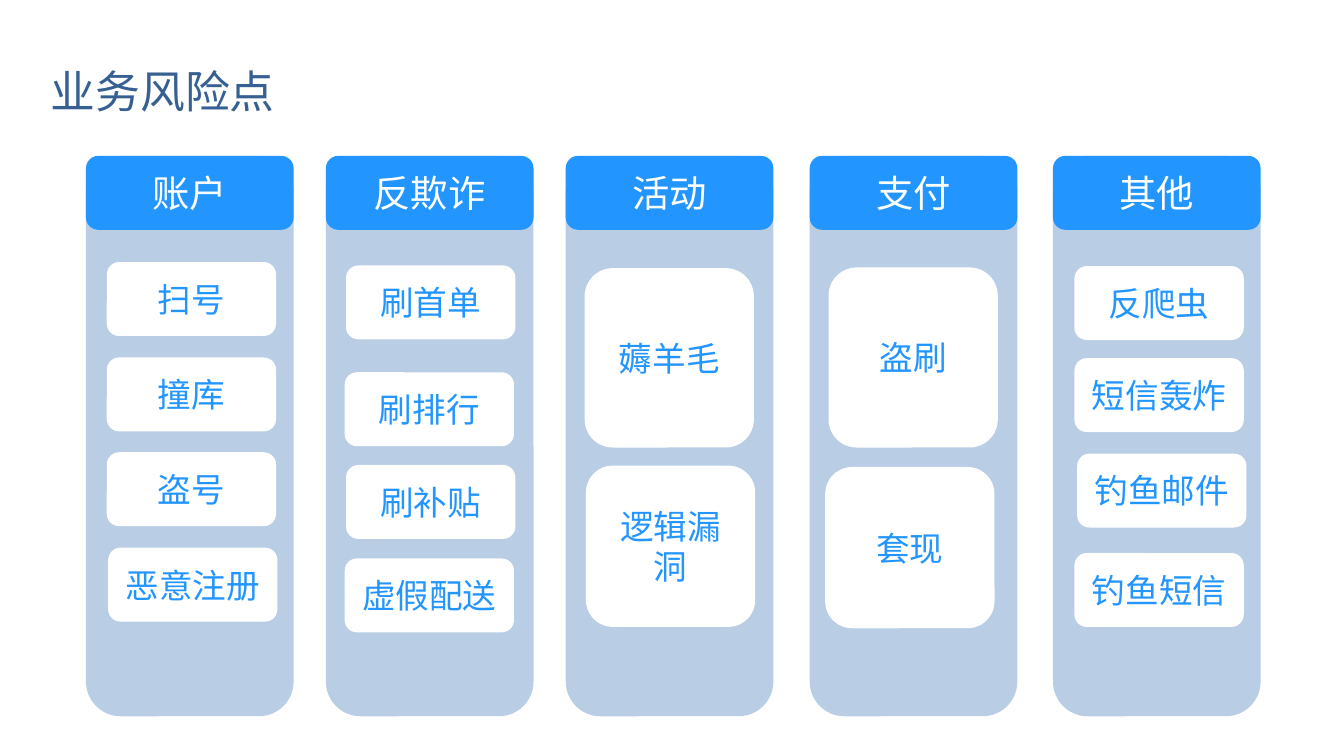
from typing import NamedTuple

from lxml.etree import SubElement
from pptx import Presentation
from pptx.dml.color import RGBColor
from pptx.enum.shapes import MSO_SHAPE
from pptx.enum.text import MSO_ANCHOR, PP_ALIGN
from pptx.oxml.ns import qn
from pptx.util import Pt

SCALE = 4572
WHITE = RGBColor(0xFF, 0xFF, 0xFF)
BLUE = RGBColor(0x22, 0x95, 0xFF)
PALE = RGBColor(0xB9, 0xCD, 0xE5)
NAVY = RGBColor(0x37, 0x60, 0x92)
SANS = "Noto Sans CJK JP"
TOP, WIDTH, DEPTH = 232, 309, 834
CARD, ROW = 252, 110


class Risk(NamedTuple):
    name: str
    left: int
    top: int
    height: int = ROW


class Group(NamedTuple):
    name: str
    left: int
    risks: tuple[Risk, ...]


GROUPS = (
    Group("账户", 128, (
        Risk("扫号", 159, 390), Risk("撞库", 159, 532),
        Risk("盗号", 159, 673), Risk("恶意注册", 161, 815))),
    Group("反欺诈", 485, (
        Risk("刷首单", 515, 395), Risk("刷排行", 513, 554),
        Risk("刷补贴", 515, 692), Risk("虚假配送", 513, 831))),
    Group("活动", 842, (
        Risk("薅羊毛", 870, 399, 267), Risk("逻辑漏洞", 872, 693, 240))),
    Group("支付", 1205, (
        Risk("盗刷", 1233, 398, 268), Risk("套现", 1228, 695, 240))),
    Group("其他", 1567, (
        Risk("反爬虫", 1599, 396), Risk("短信轰炸", 1599, 533),
        Risk("钓鱼邮件", 1603, 675), Risk("钓鱼短信", 1599, 823))),
)


def px(*sizes: int) -> list[int]:
    return [size * SCALE for size in sizes]


def write(shape, text: str, *, size: int, color: RGBColor, font: str = SANS,
          align=PP_ALIGN.CENTER, anchor=MSO_ANCHOR.MIDDLE) -> None:
    frame = shape.text_frame
    frame.word_wrap = True
    frame.vertical_anchor = anchor
    para = frame.paragraphs[0]
    para.alignment = align
    run = para.add_run()
    run.text = text
    run.font.size = Pt(size)
    run.font.color.rgb = color
    run.font.name = font
    SubElement(run.font._element, qn("a:ea"), typeface=font)


def block(slide, left: int, top: int, width: int, height: int, fill: RGBColor):
    shape = slide.shapes.add_shape(
        MSO_SHAPE.ROUNDED_RECTANGLE, *px(left, top, width, height))
    shape.shadow.inherit = False
    shape.fill.solid()
    shape.fill.fore_color.rgb = fill
    shape.line.fill.background()
    return shape


def draw(slide, group: Group) -> None:
    block(slide, group.left, TOP, WIDTH, DEPTH, PALE)
    head = block(slide, group.left, TOP, WIDTH, ROW, BLUE)
    write(head, group.name, size=20, color=WHITE)
    for risk in group.risks:
        card = block(slide, risk.left, risk.top, CARD, risk.height, WHITE)
        write(card, risk.name, size=18, color=BLUE)


def main() -> None:
    deck = Presentation()
    deck.slide_width, deck.slide_height = px(2000, 1125)
    slide = deck.slides.add_slide(deck.slide_layouts[6])
    for group in GROUPS:
        draw(slide, group)
    title = slide.shapes.add_textbox(*px(56, 90, 1386, 94))
    write(title, "业务风险点", size=24, color=NAVY, font="Roboto",
          align=PP_ALIGN.LEFT, anchor=MSO_ANCHOR.BOTTOM)
    deck.save("out.pptx")


if __name__ == "__main__":
    main()
